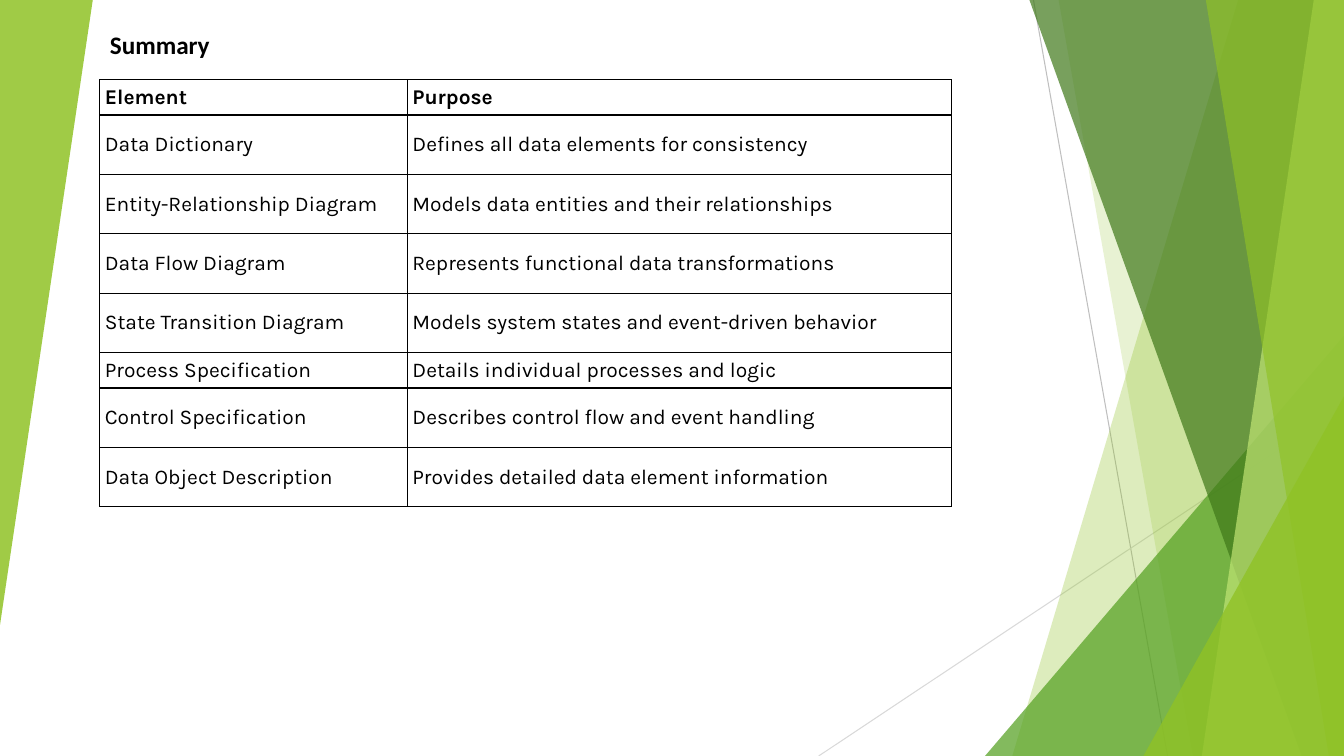
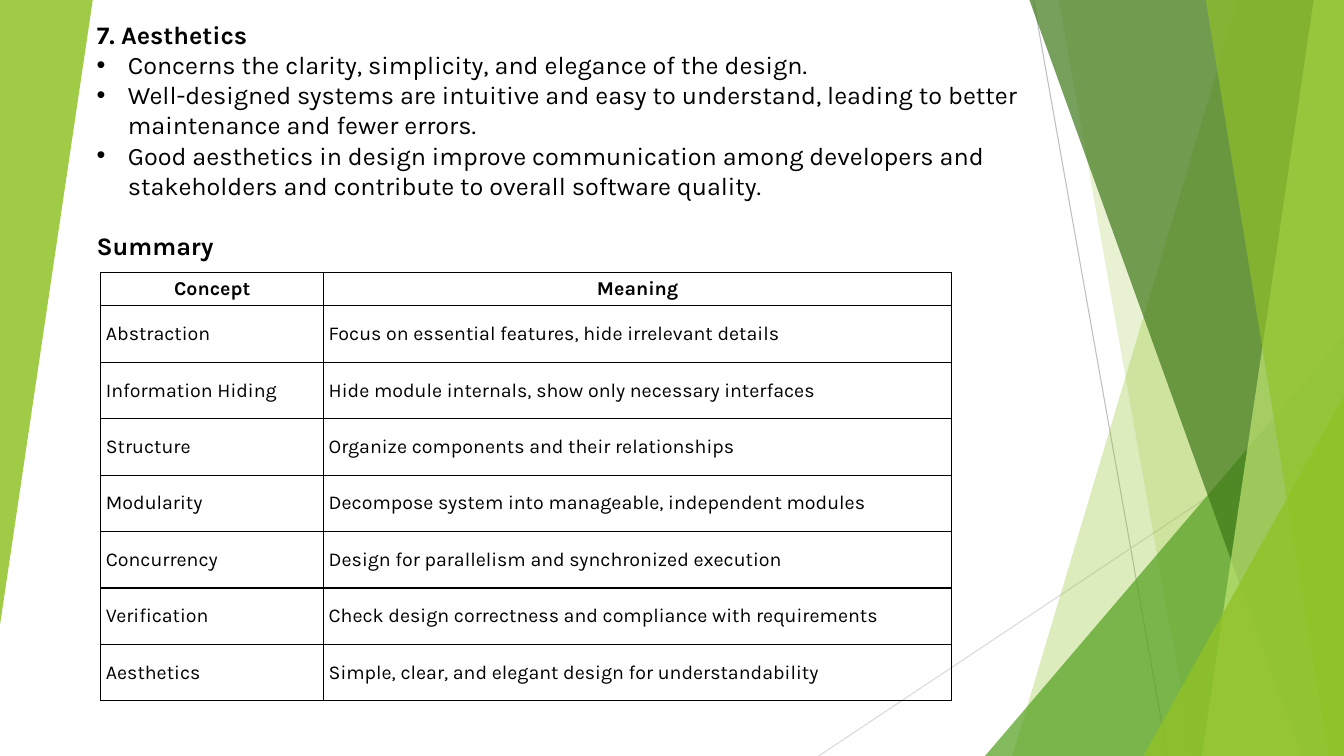
from lxml.etree import SubElement
from pptx import Presentation
from pptx.dml.color import RGBColor
from pptx.enum.shapes import MSO_CONNECTOR, MSO_SHAPE
from pptx.enum.text import MSO_ANCHOR, PP_ALIGN
from pptx.oxml import parse_xml
from pptx.oxml.ns import nsdecls, qn
from pptx.util import Inches, Pt

WIDTH, HEIGHT = 13.33, 7.5
BLACK, LIME, GREEN = "000000", "90C226", "54A021"
FOREST, PALE = "3F7819", "C0E474"
FONT = "Karla"


def rgb(value):
    return RGBColor.from_string(value)


def add_text(tf, text, size=18, font=FONT, bold=False, color=BLACK,
             align=PP_ALIGN.LEFT, bullet=False, before=0):
    p = tf.paragraphs[0]
    if p.runs:
        p = tf.add_paragraph()
    p.alignment = align
    p.space_before = Pt(before)
    if bullet:
        pPr = p._p.get_or_add_pPr()
        pPr.set("marL", str(Inches(0.31)))
        pPr.set("indent", str(-Inches(0.31)))
        SubElement(pPr, qn("a:buFont"), typeface="Arial")
        SubElement(pPr, qn("a:buChar"), char="•")
    r = p.add_run()
    r.text = text
    r.font.size = Pt(size)
    r.font.name = font
    r.font.bold = bold
    r.font.color.rgb = rgb(color)


prs = Presentation()
prs.slide_width = Inches(WIDTH)
prs.slide_height = Inches(HEIGHT)
layout = prs.slide_layouts[5]

slides = [
    {
        "title": "Summary", "font": "Calibri", "title_at": (0.99, 0.24, 9.37, 0.4),
        "body": [],
        "table_at": (0.99, 0.79), "size": 15, "head_align": PP_ALIGN.LEFT,
        "cols": [3.05, 5.4],
        "heights": [0.35, 0.59, 0.59, 0.59, 0.59, 0.35, 0.59, 0.59],
        "rows": [
            ("Element", "Purpose"),
            ("Data Dictionary", "Defines all data elements for consistency"),
            ("Entity-Relationship Diagram", "Models data entities and their relationships"),
            ("Data Flow Diagram", "Represents functional data transformations"),
            ("State Transition Diagram", "Models system states and event-driven behavior"),
            ("Process Specification", "Details individual processes and logic"),
            ("Control Specification", "Describes control flow and event handling"),
            ("Data Object Description", "Provides detailed data element information"),
        ],
    },
    {
        "title": "7. Aesthetics", "font": FONT, "title_at": (0.86, 0.14, 9.34, 0.4),
        "body": [
            ("Concerns the clarity, simplicity, and elegance of the design.", {"bullet": True}),
            ("Well-designed systems are intuitive and easy to understand, leading to better "
             "maintenance and fewer errors.", {"bullet": True}),
            ("Good aesthetics in design improve communication among developers and "
             "stakeholders and contribute to overall software quality.", {"bullet": True}),
            ("Summary", {"bold": True, "before": 21.6}),
        ],
        "table_at": (1, 2.7), "size": 14, "head_align": PP_ALIGN.CENTER,
        "cols": [2.21, 6.23],
        "heights": [0.33] + [0.56] * 7,
        "rows": [
            ("Concept", "Meaning"),
            ("Abstraction", "Focus on essential features, hide irrelevant details"),
            ("Information Hiding", "Hide module internals, show only necessary interfaces"),
            ("Structure", "Organize components and their relationships"),
            ("Modularity", "Decompose system into manageable, independent modules"),
            ("Concurrency", "Design for parallelism and synchronized execution"),
            ("Verification", "Check design correctness and compliance with requirements"),
            ("Aesthetics", "Simple, clear, and elegant design for understandability"),
        ],
    },
]

for content in slides:
    s = prs.slides.add_slide(layout)
    title = s.shapes.title
    title.left, title.top, title.width, title.height = map(Inches, content["title_at"])
    title.text_frame.vertical_anchor = MSO_ANCHOR.TOP
    add_text(title.text_frame, content["title"], font=content["font"], bold=True)

    if content["body"]:
        box = s.shapes.add_textbox(Inches(0.86), Inches(0.44), Inches(9.34), Inches(2.23))
        box.text_frame.word_wrap = True
        for text, style in content["body"]:
            add_text(box.text_frame, text, **style)

    left, top = content["table_at"]
    rows, cols, heights = content["rows"], content["cols"], content["heights"]
    table = s.shapes.add_table(len(rows), len(cols), Inches(left), Inches(top),
                               Inches(sum(cols)), Inches(sum(heights))).table
    table.first_row = False
    table.horz_banding = False
    for column, width in zip(table.columns, cols):
        column.width = Inches(width)
    for i, (row, height) in enumerate(zip(table.rows, heights)):
        row.height = Inches(height)
        for cell, text in zip(row.cells, rows[i]):
            cell.margin_left = cell.margin_right = Inches(0.05)
            cell.margin_top = cell.margin_bottom = Inches(0.05)
            cell.vertical_anchor = MSO_ANCHOR.MIDDLE
            cell.fill.background()
            tcPr = cell._tc.get_or_add_tcPr()
            for n, edge in enumerate(("lnL", "lnR", "lnT", "lnB")):
                tcPr.insert(n, parse_xml(
                    f'<a:{edge} {nsdecls("a")} w="{Pt(1)}"><a:solidFill>'
                    f'<a:srgbClr val="{BLACK}"/></a:solidFill></a:{edge}>'))
            add_text(cell.text_frame, text, size=content["size"], bold=i == 0,
                     align=content["head_align"] if i == 0 else PP_ALIGN.LEFT)

decor = s.shapes.add_group_shape()
for x1, y1, x2, y2, color in [(10.25, 0, 11.58, HEIGHT, "BFBFBF"),
                              (WIDTH, 4.03, 8.12, HEIGHT, "D9D9D9")]:
    line = decor.shapes.add_connector(MSO_CONNECTOR.STRAIGHT, Inches(x1), Inches(y1),
                                      Inches(x2), Inches(y2))
    line.line.color.rgb = rgb(color)
    line.line.width = Pt(0.75)
    SubElement(line.element.spPr, qn("a:effectLst"))

facets = [
    ("band", (12.28, 10.04), LIME, 30),
    ("band", (10.5, 11.83), LIME, 20),
    ("triangle", (9.77, 3.33, 3.56, 4.17, 0), GREEN, 72),
    ("band", (10.21, 12.91), FOREST, 70),
    ("band", (13.03, 11.92), PALE, 70),
    ("band", (11.96, 13.18), LIME, 65),
    ("triangle", (11.34, 3.93, 1.99, 3.57, 0), LIME, 80),
    ("triangle", (0, 0, 0.92, 6.2, 180), LIME, 85),
]
for kind, place, color, opacity in facets:
    if kind == "band":
        top_x, bottom_x = place
        outline = decor.shapes.build_freeform(Inches(top_x), 0)
        outline.add_line_segments([(Inches(x), Inches(y)) for x, y in
                                   [(WIDTH, 0), (WIDTH, HEIGHT), (bottom_x, HEIGHT)]])
        sp = outline.convert_to_shape()
    else:
        *frame, rotation = place
        sp = decor.shapes.add_shape(MSO_SHAPE.ISOSCELES_TRIANGLE, *map(Inches, frame))
        sp.adjustments[0] = 1
        sp.rotation = rotation
    sp.shadow.inherit = False
    sp.line.fill.background()
    sp.fill.solid()
    sp.fill.fore_color.rgb = rgb(color)
    fill_color = sp.element.spPr.find(f'{qn("a:solidFill")}/{qn("a:srgbClr")}')
    SubElement(fill_color, qn("a:alpha"), val=str(opacity * 1000))

for n, props in enumerate(decor.element.iter(qn("p:cNvPr")), 100):
    props.set("id", str(n))
layout.shapes.element.insert(2, decor.element)

prs.save("out.pptx")
